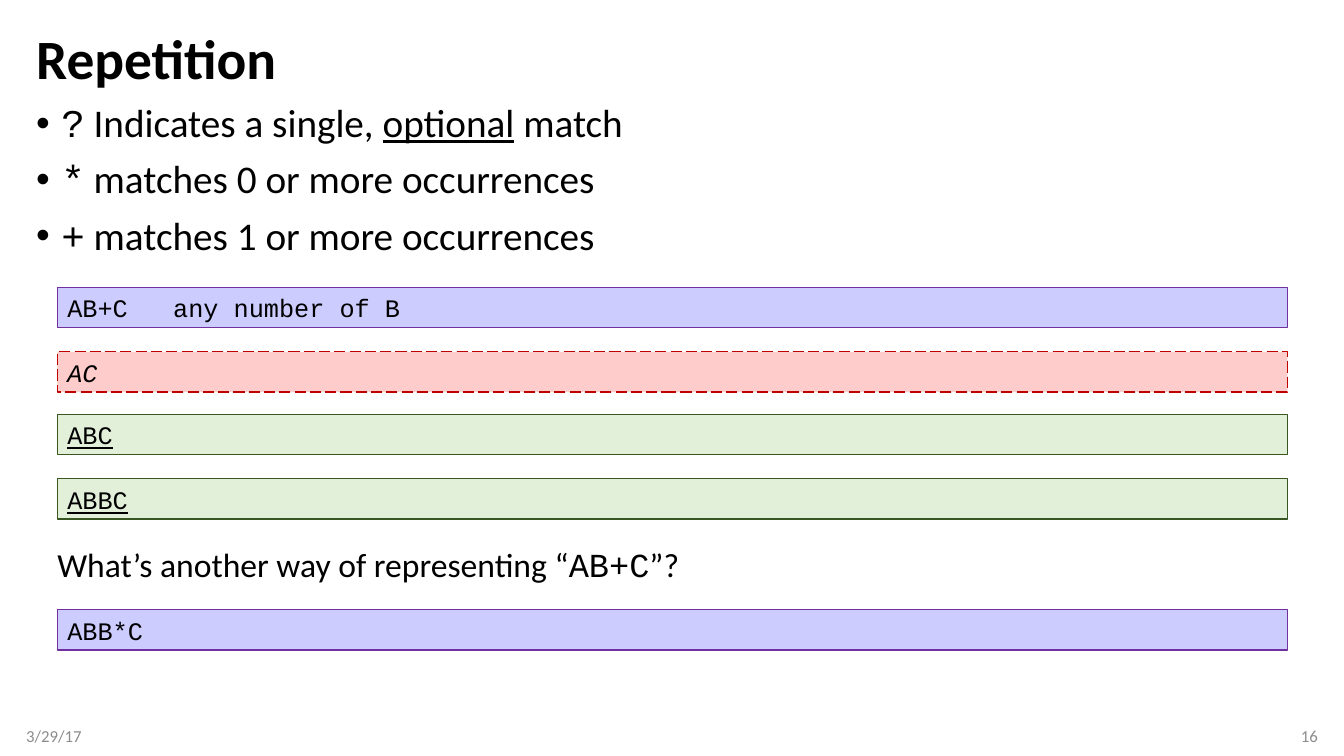
from dataclasses import dataclass

from lxml.etree import SubElement
from pptx import Presentation
from pptx.dml.color import RGBColor
from pptx.enum.dml import MSO_LINE
from pptx.enum.shapes import MSO_SHAPE
from pptx.enum.text import MSO_ANCHOR, PP_ALIGN
from pptx.oxml.ns import qn
from pptx.util import Inches, Pt

COLORS = {
    "text": "000000",
    "footer": "8C8C8C",
    "pattern_fill": "CCCCFF",
    "pattern_line": "7030A0",
    "miss_fill": "FFCCCC",
    "miss_line": "C00000",
    "match_fill": "E2F0D9",
    "match_line": "385723",
}
BODY_FONT = "Calibri"
CODE_FONT = "Courier New"


@dataclass(frozen=True)
class Span:
    text: str
    font: str = BODY_FONT
    bold: bool = False
    italic: bool = False
    underline: bool = False


@dataclass(frozen=True)
class Bar:
    span: Span
    top: float
    style: str


BULLETS = [
    [Span("?", CODE_FONT), Span(" Indicates a single, "),
     Span("optional", underline=True), Span(" match")],
    [Span("*", CODE_FONT), Span(" matches 0 or more occurrences")],
    [Span("+", CODE_FONT), Span(" matches 1 or more occurrences")],
]
QUESTION = [Span("What’s another way of representing “"),
            Span("AB+C", CODE_FONT), Span("”?")]
BARS = [
    Bar(Span("AB+C\tany number of B", CODE_FONT), 2.85, "pattern"),
    Bar(Span("AC", CODE_FONT, italic=True), 3.49, "miss"),
    Bar(Span("ABC", CODE_FONT, underline=True), 4.11, "match"),
    Bar(Span("ABBC", CODE_FONT, underline=True), 4.75, "match"),
    Bar(Span("ABB*C", CODE_FONT), 6.05, "pattern"),
]


def color(name: str) -> RGBColor:
    return RGBColor.from_string(COLORS[name])


def write(shape, paragraphs: list[list[Span]], *, size: float, ink: str = "text",
          align=PP_ALIGN.LEFT, anchor=MSO_ANCHOR.MIDDLE,
          line_spacing: float = 1.0, bullet: bool = False,
          left_inset: float = 0.1, right_inset: float = 0.1) -> None:
    frame = shape.text_frame
    frame.word_wrap = True
    frame.vertical_anchor = anchor
    frame.margin_left, frame.margin_right = Inches(left_inset), Inches(right_inset)
    for index, spans in enumerate(paragraphs):
        para = frame.add_paragraph() if index else frame.paragraphs[0]
        para.alignment = align
        para.line_spacing = line_spacing
        if index:
            para.space_before = Pt(10)
        properties = para._p.get_or_add_pPr()
        if bullet:
            properties.set("marL", str(Inches(0.25)))
            properties.set("indent", str(Inches(-0.25)))
            SubElement(properties, qn("a:buFont"), typeface="Arial")
            SubElement(properties, qn("a:buChar"), char="•")
        if any("\t" in span.text for span in spans):
            tabs = SubElement(properties, qn("a:tabLst"))
            SubElement(tabs, qn("a:tab"), pos=str(Inches(1.05)), algn="l")
        for span in spans:
            run = para.add_run()
            run.text = span.text
            run.font.name = span.font
            run.font.size = Pt(size)
            run.font.bold = span.bold
            run.font.italic = span.italic
            run.font.underline = span.underline
            run.font.color.rgb = color(ink)


def add_text(page, left: float, top: float, width: float, height: float,
             paragraphs: list[list[Span]], **text_format) -> None:
    box = page.shapes.add_textbox(Inches(left), Inches(top), Inches(width), Inches(height))
    write(box, paragraphs, **text_format)


def add_bar(page, bar: Bar) -> None:
    box = page.shapes.add_shape(MSO_SHAPE.RECTANGLE, Inches(0.57), Inches(bar.top),
                                Inches(12.2), Inches(0.4))
    box.shadow.inherit = False
    box.fill.solid()
    box.fill.fore_color.rgb = color(f"{bar.style}_fill")
    box.line.color.rgb = color(f"{bar.style}_line")
    box.line.width = Pt(1)
    if bar.style == "miss":
        box.line.dash_style = MSO_LINE.LONG_DASH
    write(box, [[bar.span]], size=18)


def main() -> None:
    deck = Presentation()
    deck.slide_width, deck.slide_height = Inches(13.33), Inches(7.5)
    page = deck.slides.add_slide(deck.slide_layouts[6])

    add_text(page, 0.26, 0.25, 12.81, 0.72, [[Span("Repetition", bold=True)]],
             size=39.6, line_spacing=0.9)
    add_text(page, 0.26, 0.98, 12.81, 1.75, BULLETS, size=28,
             anchor=MSO_ANCHOR.TOP, line_spacing=0.9, bullet=True)
    add_text(page, 0.26, 7.1, 3, 0.4, [[Span("3/29/17")]], size=12,
             ink="footer", left_inset=0)
    add_text(page, 10.07, 7.1, 3, 0.4, [[Span("16")]], size=12, ink="footer",
             align=PP_ALIGN.RIGHT, right_inset=0)
    for bar in BARS:
        add_bar(page, bar)
    add_text(page, 0.47, 5.35, 6.6, 0.5, [QUESTION], size=24, anchor=MSO_ANCHOR.TOP)

    deck.save("out.pptx")


if __name__ == "__main__":
    main()
